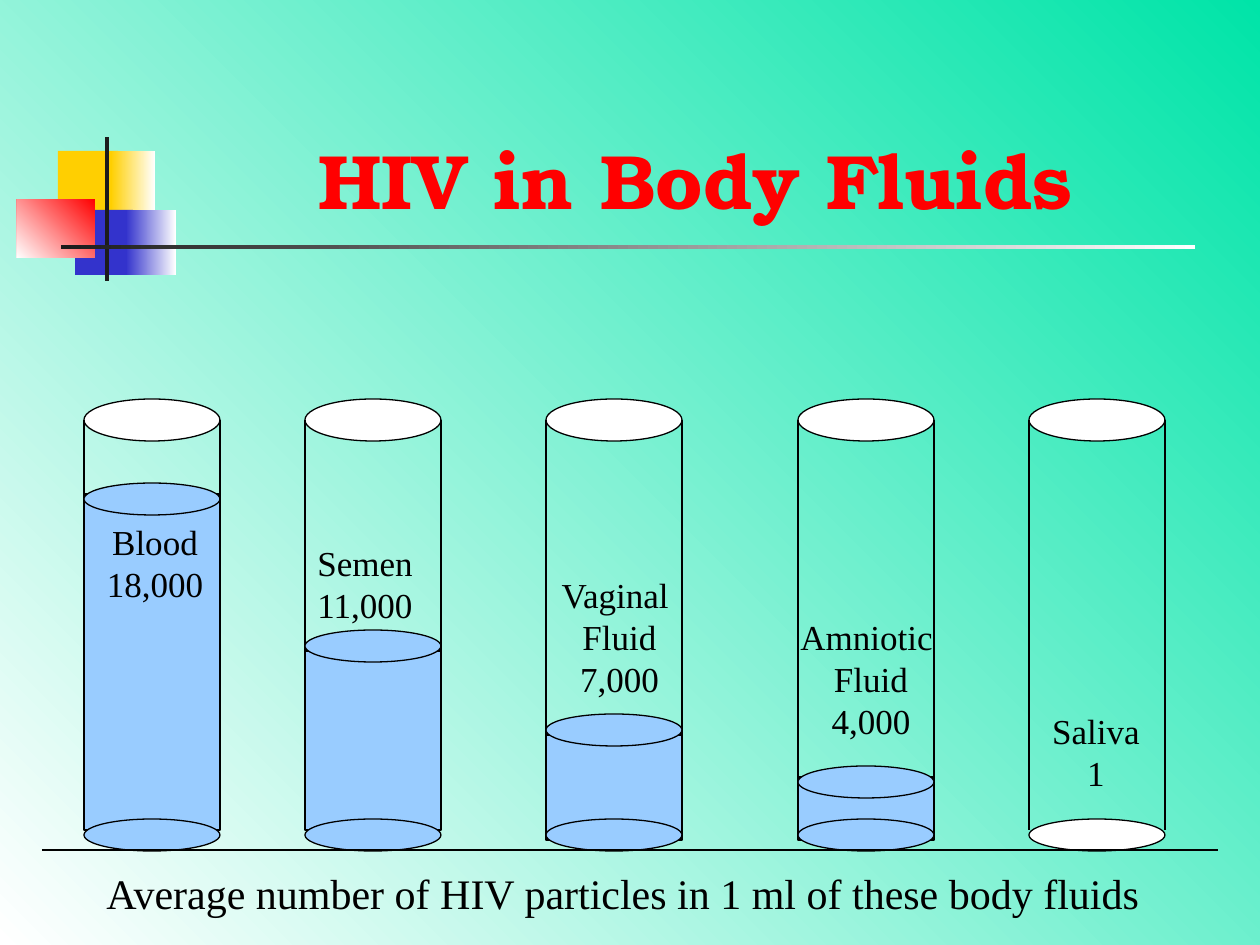
"""Build the slide comparing HIV particle counts in five body fluids."""
from lxml import etree
from pptx import Presentation
from pptx.dml.color import RGBColor
from pptx.enum.shapes import MSO_CONNECTOR, MSO_SHAPE
from pptx.enum.text import MSO_ANCHOR, PP_ALIGN
from pptx.oxml.ns import qn
from pptx.util import Pt

RECT, OVAL = MSO_SHAPE.RECTANGLE, MSO_SHAPE.OVAL
STRAIGHT = MSO_CONNECTOR.STRAIGHT
LEFT, CENTER = PP_ALIGN.LEFT, PP_ALIGN.CENTER
BOTTOM = MSO_ANCHOR.BOTTOM

PX = 914400 / 126
COLORS = {
    "green": "00E4A8", "white": "FFFFFF", "yellow": "FFCF01", "blue": "3333CC",
    "red": "FF0000", "dark": "1C1C1C", "black": "000000", "liquid": "99CCFF",
}
TITLE_FONT, BODY_FONT = "TeX Gyre Bonum", "Times New Roman"

TITLE = "HIV in Body Fluids"
CAPTION = "Average number of HIV particles in 1 ml of these body fluids"
DECOR = [
    ((58, 151, 60, 66), "yellow"),
    ((111, 151, 44, 66), ("white", "yellow", 180)),
    ((75, 210, 58, 65), "blue"),
    ((126, 210, 50, 65), ("white", "blue", 180)),
    ((17, 199, 78, 59), ("red", "white", 225)),
    ((105, 137, 4, 144), "dark"),
    ((61, 245, 1134, 4), ("white", "dark", 180)),
]
TUBES = [
    {"x": 84, "surface": 483, "fill": (494, 830), "label": "Blood\n18,000",
     "box": (75, 514, 160, 97), "align": CENTER},
    {"x": 305, "surface": 630, "fill": (651, 830), "label": "Semen\n11,000",
     "box": (305, 535, 141, 97), "align": LEFT},
    {"x": 546, "surface": 714, "fill": (735, 840), "label": "Vaginal \nFluid\n7,000",
     "box": (546, 567, 147, 139), "align": CENTER},
    {"x": 798, "surface": 766, "fill": (777, 840), "label": "Amniotic \nFluid\n4,000",
     "box": (771, 609, 200, 139), "align": CENTER},
    {"x": 1029, "surface": None, "fill": None, "label": "Saliva\n1",
     "box": (1016, 703, 160, 97), "align": CENTER},
]
TUBE_W, RIM_TOP, RIM_H = 136, 399, 42
WALL_BOTTOM, BASE_TOP, DISC_H, FLOOR = 830, 819, 32, 850


def emu(*lengths):
    return [round(v * PX) for v in lengths]


def rgb(name):
    return RGBColor.from_string(COLORS[name])


def set_fill(fill, color):
    if isinstance(color, str):
        fill.solid()
        fill.fore_color.rgb = rgb(color)
        return
    start, end, angle = color
    fill.gradient()
    fill.gradient_angle = angle
    for stop, name in zip(fill.gradient_stops, (start, end)):
        stop.color.rgb = rgb(name)


def set_line(line):
    line.color.rgb = rgb("black")
    line.width = Pt(0.75)


def add_shape(s, kind, box, color, outlined=True):
    sp = s.shapes.add_shape(kind, *emu(*box))
    sp.shadow.inherit = False
    set_fill(sp.fill, color)
    if outlined:
        set_line(sp.line)
    else:
        sp.line.fill.background()


def add_line(s, x1, y1, x2, y2):
    line = s.shapes.add_connector(STRAIGHT, *emu(x1, y1, x2, y2))
    set_line(line.line)
    etree.SubElement(line._element.spPr, qn("a:effectLst"))


def set_text(tf, text, size, font, color, align, bold=False):
    tf.text = text
    for p in tf.paragraphs:
        p.alignment = align
        for r in p.runs:
            r.font.size, r.font.name, r.font.bold = Pt(size), font, bold
            r.font.color.rgb = rgb(color)


def add_text(s, box, text, size, align=LEFT):
    tf = s.shapes.add_textbox(*emu(*box)).text_frame
    tf.word_wrap = True
    set_text(tf, text, size, BODY_FONT, "black", align)


def add_tube(s, tube):
    x, base = tube["x"], "white"
    add_shape(s, OVAL, (x, RIM_TOP, TUBE_W, RIM_H), "white")
    for wall in (x, x + TUBE_W):
        add_line(s, wall, RIM_TOP + RIM_H / 2, wall, WALL_BOTTOM)
    if tube["fill"]:
        base = "liquid"
        top, bottom = tube["fill"]
        add_shape(s, RECT, (x, top, TUBE_W, bottom - top), base)
        add_shape(s, OVAL, (x, tube["surface"], TUBE_W, DISC_H), base)
    add_shape(s, OVAL, (x, BASE_TOP, TUBE_W, DISC_H), base)
    add_text(s, tube["box"], tube["label"], 20, tube["align"])


def main():
    prs = Presentation()
    prs.slide_width, prs.slide_height = emu(1260, 945)
    s = prs.slides.add_slide(prs.slide_layouts[5])
    set_fill(s.background.fill, ("green", "white", 225))
    for box, color in DECOR:
        add_shape(s, RECT, box, color, outlined=False)

    title = s.shapes.title
    title.left, title.top, title.width, title.height = emu(159, 29, 1074, 202)
    title.text_frame.vertical_anchor = BOTTOM
    set_text(title.text_frame, TITLE, 44, TITLE_FONT, "red", CENTER, bold=True)

    for tube in TUBES:
        add_tube(s, tube)
    add_line(s, 42, FLOOR, 1218, FLOOR)
    add_text(s, (94, 861, 1106, 63), CAPTION, 24)
    prs.save("out.pptx")


if __name__ == "__main__":
    main()
